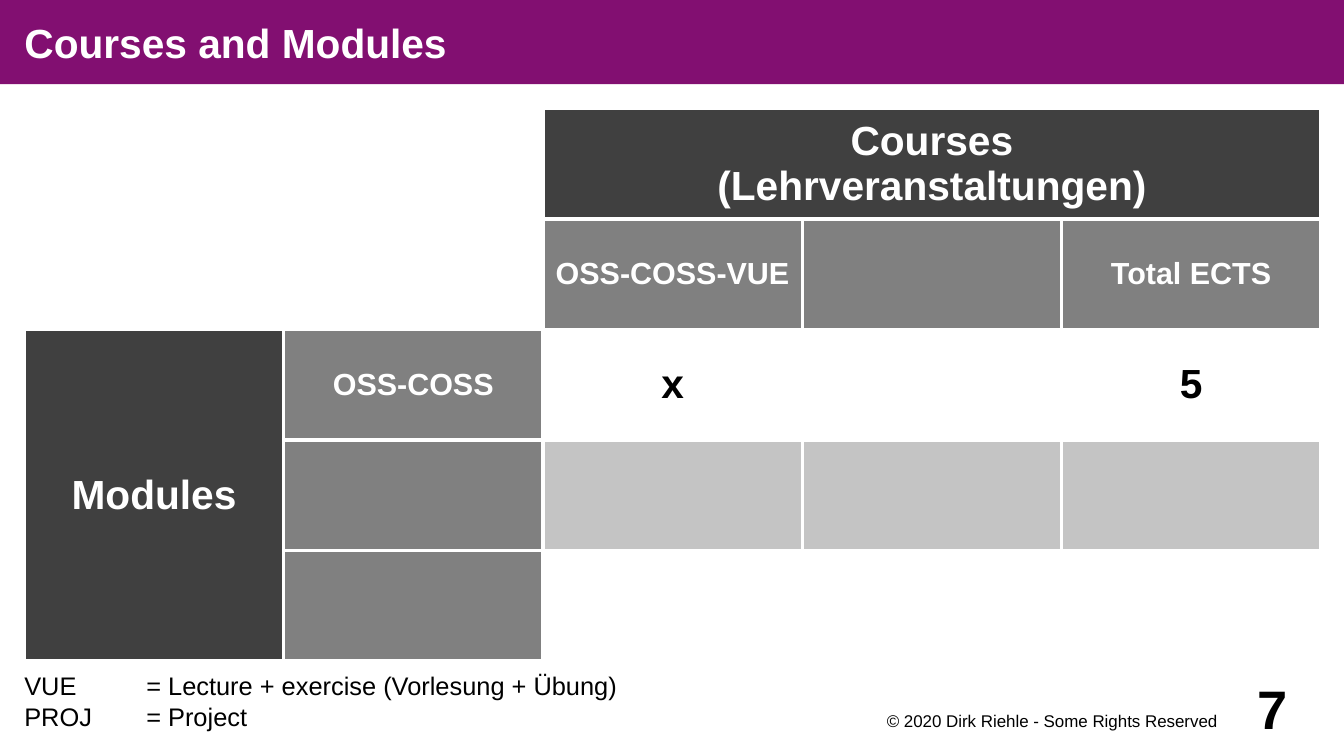
from dataclasses import dataclass

from lxml import etree
from pptx import Presentation
from pptx.dml.color import RGBColor
from pptx.enum import shapes, text
from pptx.oxml.ns import qn
from pptx.util import Inches, Pt


@dataclass(frozen=True)
class Theme:
    """Colours, font and type sizes of the slide."""
    font: str = "Arial"
    purple: str = "820F71"
    dark: str = "404040"
    grey: str = "808080"
    light: str = "C4C4C4"
    white: str = "FFFFFF"
    black: str = "000000"
    large: int = 24
    label: int = 18
    legend: int = 15
    small: int = 10
    number: int = 32
    border: float = 2.27


T = Theme()
ROWS, COLS = 5, 5
FILLS = [
    [T.white, T.white, T.dark, T.dark, T.dark],
    [T.white, T.white, T.grey, T.grey, T.grey],
    [T.dark, T.grey, T.white, T.white, T.white],
    [T.dark, T.grey, T.light, T.light, T.light],
    [T.dark, T.grey, T.white, T.white, T.white],
]
CELL_TEXTS = {
    (0, 2): ("Courses\n(Lehrveranstaltungen)", T.large, T.white),
    (1, 2): ("OSS-COSS-VUE", T.label, T.white),
    (1, 4): ("Total ECTS", T.label, T.white),
    (2, 0): ("Modules", T.large, T.white),
    (2, 1): ("OSS-COSS", T.label, T.white),
    (2, 2): ("x", T.large, T.black),
    (2, 4): ("5", T.large, T.black),
}


def set_fill(item, color):
    """Fill a shape or a cell with one colour."""
    item.fill.solid()
    item.fill.fore_color.rgb = RGBColor.from_string(color)


def add_text(p, content, size, color, bold=False):
    """Add the lines of a text to a paragraph, one run each."""
    for i, line in enumerate(content.split("\n")):
        if i:
            p.add_line_break()
        r = p.add_run()
        r.text = line
        r.font.name = T.font
        r.font.size = Pt(size)
        r.font.bold = bold
        r.font.color.rgb = RGBColor.from_string(color)


def set_frame(tf, anchor, insets):
    """Set wrapping, anchor and insets (left, top, right, bottom)."""
    tf.word_wrap = True
    tf.vertical_anchor = anchor
    tf.margin_left, tf.margin_top, tf.margin_right, tf.margin_bottom = map(Inches, insets)


def add_title_bar(s, content):
    """Draw the title bar across the top of the slide."""
    sp = s.shapes.add_shape(shapes.MSO_SHAPE.RECTANGLE, 0, 0, Inches(11.02), Inches(0.69))
    sp.shadow.inherit = False
    set_fill(sp, T.purple)
    sp.line.fill.background()
    set_frame(sp.text_frame, text.MSO_ANCHOR.MIDDLE, (0.2, 0, 0, 0))
    p = sp.text_frame.paragraphs[0]
    p.alignment = text.PP_ALIGN.LEFT
    add_text(p, content, T.large, T.white, bold=True)


def add_text_box(s, box, lines, size, anchor, insets, align, bold=False, tab=None):
    """Add a text box with one paragraph per line and an optional tab stop."""
    tf = s.shapes.add_textbox(*map(Inches, box)).text_frame
    set_frame(tf, anchor, insets)
    for i, line in enumerate(lines):
        p = tf.add_paragraph() if i else tf.paragraphs[0]
        p.alignment = align
        if tab:
            stops = etree.SubElement(p._p.get_or_add_pPr(), qn("a:tabLst"))
            etree.SubElement(stops, qn("a:tab"), pos=str(Inches(tab)), algn="l")
        add_text(p, line, size, T.black, bold)


def set_borders(cell):
    """Give a cell white lines on all four sides."""
    tc_pr = cell._tc.get_or_add_tcPr()
    for i, side in enumerate(("a:lnL", "a:lnR", "a:lnT", "a:lnB")):
        ln = etree.Element(qn(side), w=str(Pt(T.border)))
        fill = etree.SubElement(ln, qn("a:solidFill"))
        etree.SubElement(fill, qn("a:srgbClr"), val=T.white)
        tc_pr.insert(i, ln)


def add_course_table(s):
    """Add the table that maps modules to courses."""
    box = map(Inches, (0.2, 0.89, 10.63, 4.53))
    table = s.shapes.add_table(ROWS, COLS, *box).table
    table.first_row = table.horz_banding = False
    for row, fills in enumerate(FILLS):
        for col, fill in enumerate(fills):
            cell = table.cell(row, col)
            set_fill(cell, fill)
            set_borders(cell)
            cell.vertical_anchor = text.MSO_ANCHOR.MIDDLE
            cell.margin_left = cell.margin_right = Inches(0.08)
            cell.margin_top = cell.margin_bottom = Inches(0.05)
            if (row, col) in CELL_TEXTS:
                p = cell.text_frame.paragraphs[0]
                p.alignment = text.PP_ALIGN.CENTER
                add_text(p, *CELL_TEXTS[row, col], bold=True)
    table.cell(0, 2).merge(table.cell(0, 4))
    table.cell(2, 0).merge(table.cell(4, 0))


def main():
    """Build the slide and save it."""
    prs = Presentation()
    prs.slide_width, prs.slide_height = Inches(11.02), Inches(6.2)
    s = prs.slides.add_slide(prs.slide_layouts[6])
    anchor, align = text.MSO_ANCHOR, text.PP_ALIGN
    add_title_bar(s, "Courses and Modules")
    add_course_table(s)
    legend = ["VUE \t= Lecture + exercise (Vorlesung + Übung)", "PROJ \t= Project"]
    add_text_box(s, (0, 4.63, 7.87, 1.57), legend, T.legend,
                 anchor.BOTTOM, (0.2, 0, 0, 0.2), align.LEFT, tab=1)
    add_text_box(s, (7.09, 5.81, 3.15, 0.3), ["© 2020 Dirk Riehle - Some Rights Reserved"],
                 T.small, anchor.TOP, (0, 0.02, 0.08, 0), align.CENTER)
    add_text_box(s, (10.04, 5.51, 0.79, 0.59), ["7"], T.number,
                 anchor.MIDDLE, (0, 0, 0, 0), align.CENTER, bold=True)
    prs.save("out.pptx")


if __name__ == "__main__":
    main()
